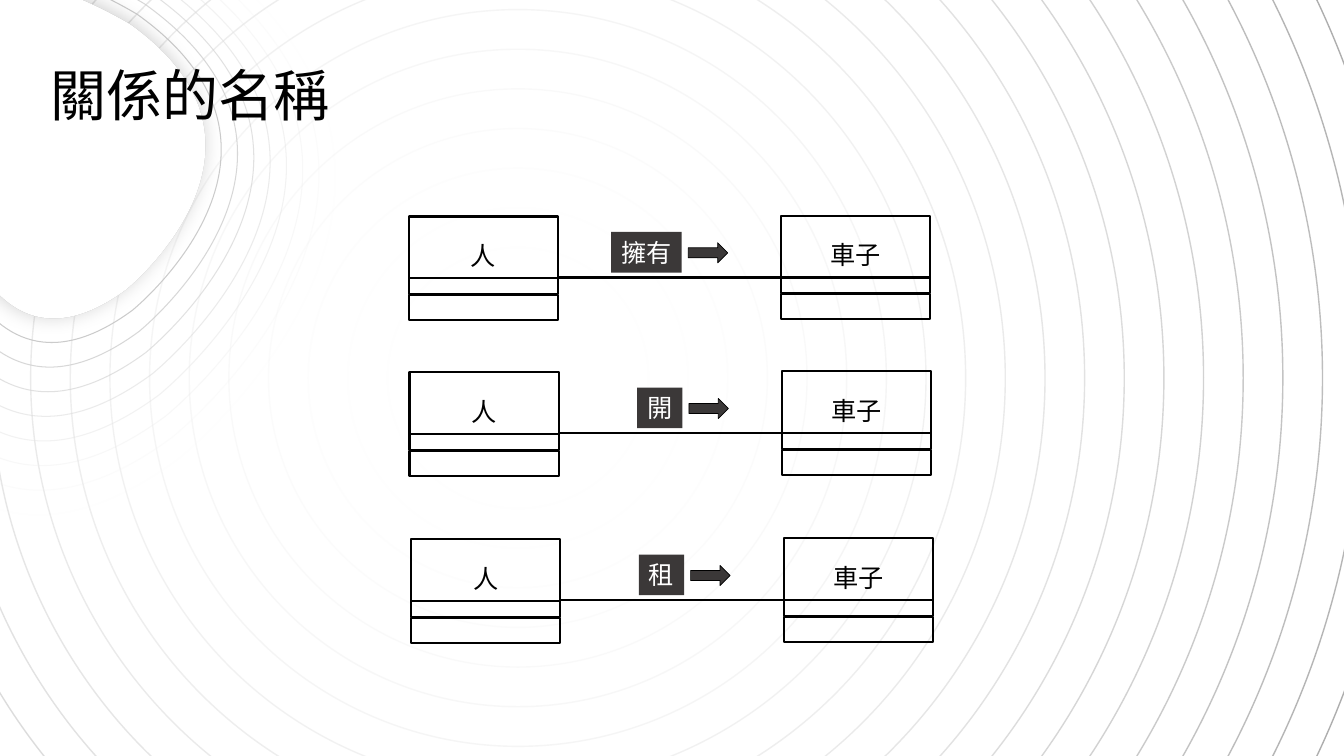
from lxml import etree
from pptx import Presentation
from pptx import util as u
from pptx.dml import color
from pptx.enum import shapes, text
from pptx.oxml import ns

Pt = u.Pt
FACE = "Noto Sans CJK SC"
INNER = [(72, 7), (-108, -39.5), (-74, 93), (-26.5, 247), (100, 166.3), (276.5, 36)]
OUTER = [(93.5, -63.4), (-259, -154), (-192, 104.4), (-100, 407.5), (148.3, 248.4), (494, -7)]


def tint(form, shade):
    form.solid()
    form.fore_color.rgb = color.RGBColor.from_string(shade)


def node(parent, tag, **attrs):
    return etree.SubElement(parent, ns.qn(tag), **attrs)


def style(shape, fill=None, line=None, width=1.5, alpha=100):
    shape.shadow.inherit = False
    if fill:
        tint(shape.fill, fill)
    else:
        shape.fill.background()
    if line:
        stroke(shape, line, width, alpha)
    else:
        shape.line.fill.background()


def stroke(shape, shade, width, alpha=100):
    tint(shape.line.fill, shade)
    shape.line.width = Pt(width)
    if alpha < 100:
        rgb = shape.line._ln.find(".//" + ns.qn("a:srgbClr"))
        node(rgb, "a:alpha", val=str(round(alpha * 1000)))


def glow(shape, shade, alpha, blur, dist, angle):
    group = shape._element.spPr.find(ns.qn("a:effectLst"))
    cast = node(group, "a:outerShdw", blurRad=str(Pt(blur)), dist=str(Pt(dist)),
                dir=str(angle * 60000))
    rgb = node(cast, "a:srgbClr", val=shade)
    node(rgb, "a:alpha", val=str(alpha * 1000))


def write(shape, words, size, shade, align):
    para = shape.text_frame.paragraphs[0]
    para.text = words
    para.alignment = align
    font = para.font
    font.size = Pt(size)
    font.name = FACE
    tint(font.fill, shade)
    node(font._element, "a:ea", typeface=FACE)


def place(slide, kind, left, top, wide, high, **look):
    shape = slide.shapes.add_shape(kind, Pt(left), Pt(top), Pt(wide), Pt(high))
    style(shape, **look)
    return shape


def rule(slide, left, top, wide):
    line = slide.shapes.add_connector(shapes.MSO_CONNECTOR.STRAIGHT,
                                      Pt(left), Pt(top), Pt(left + wide), Pt(top))
    stroke(line, "000000", 1.5)
    node(line._element.spPr, "a:effectLst")


def rings(slide, mid, high, outer, step, count):
    for i in range(count):
        rad = outer - step * i
        grey = f"{round(170.25 + 4.25 * i):02X}" * 3
        place(slide, shapes.MSO_SHAPE.OVAL, mid - rad, high - rad, 2 * rad, 2 * rad,
              line=grey, width=1, alpha=95.25 - 4.75 * i)


def curve(start, pull, end, steps=40):
    for i in range(steps + 1):
        t = i / steps
        a, b, c = (1 - t) ** 2 * (1 + 2 * t), 3 * t * t * (1 - t), t ** 3
        yield tuple(a * s + b * p + c * e for s, p, e in zip(start, pull, end))


def blob(slide, pts, **look):
    arcs = [(pts[i], pts[i + 1], pts[(i + 2) % 6]) for i in (0, 2, 4)]
    xs, ys = zip(*(spot for arc in arcs for spot in curve(*arc)))
    left, top, right, low = min(xs), min(ys), max(xs), max(ys)
    pen = slide.shapes.build_freeform(Pt(left), Pt(top))
    pen.add_line_segments([(Pt(right), Pt(top)), (Pt(right), Pt(low)), (Pt(left), Pt(low))])
    shape = pen.convert_to_shape()
    track = shape._element.spPr.find(".//" + ns.qn("a:path"))
    for part in list(track):
        track.remove(part)

    def step(tag, *spots):
        part = node(track, tag)
        for x, y in spots:
            node(part, "a:pt", x=str(Pt(x - left)), y=str(Pt(y - top)))

    step("a:moveTo", pts[0])
    for start, pull, end in arcs:
        step("a:cubicBezTo", start, pull, end)
    step("a:close")
    shape.rotation = 248.1
    style(shape, width=0.75, **look)
    return shape


def ripple(slide, count=9):
    for i in range(count):
        t = i / (count - 1)
        pts = [tuple(a + (b - a) * t for a, b in zip(*pair)) for pair in zip(OUTER, INNER)]
        grey = f"{round(248 - 57 * t):02X}" * 3
        ring = blob(slide, pts, line=grey, alpha=100 * (i + 1) / count)
        glow(ring, "323232", 10, 50, 0, 0)
    core = blob(slide, INNER, fill="FFFFFF", line="FFFFFF")
    glow(core, "000000", 20, 15, 3, 225)


def heading(slide, words, left, top, wide, high):
    box = slide.shapes.add_textbox(Pt(left), Pt(top), Pt(wide), Pt(high))
    write(box, words, 40, "000000", text.PP_ALIGN.LEFT)


def entity(slide, words, left, top):
    rect = shapes.MSO_SHAPE.RECTANGLE
    head = place(slide, rect, left, top, 106.6, 55.4, line="000000")
    head.text_frame.vertical_anchor = text.MSO_ANCHOR.MIDDLE
    write(head, words, 18, "000000", text.PP_ALIGN.CENTER)
    place(slide, rect, left, top + 56.2, 106.6, 18, line="000000")
    rule(slide, left + 0.3, top + 44.2, 106.6)


def relation(slide, verb, left, top):
    entity(slide, "人", left, top)
    entity(slide, "車子", left + 266, top - 0.7)
    rule(slide, left + 106.6, top + 43.5, 162)
    wide = 14.4 + 18 * len(verb)
    tag = place(slide, shapes.MSO_SHAPE.RECTANGLE, left + 195 - wide, top + 11,
                wide, 29, fill="3B3838")
    tag.text_frame.word_wrap = False
    tag.text_frame.vertical_anchor = text.MSO_ANCHOR.TOP
    write(tag, verb, 18, "FFFFFF", text.PP_ALIGN.LEFT)
    place(slide, shapes.MSO_SHAPE.RIGHT_ARROW, left + 199.6, top + 18.7, 28.2, 14.4,
          fill="3B3838", line="000000", width=0.5)


def main():
    deck = Presentation()
    deck.slide_width, deck.slide_height = Pt(960), Pt(540)
    slide = deck.slides.add_slide(deck.slide_layouts[6])
    rings(slide, 370, 270, 631.3, 28.32, 20)
    ripple(slide)
    heading(slide, "關係的名稱", 28.8, 39.6, 216.7, 55.4)
    for verb, left, top in (("擁有", 292, 154.7), ("開", 292.5, 265.9), ("租", 293.7, 385.2)):
        relation(slide, verb, left, top)
    deck.save("out.pptx")


if __name__ == "__main__":
    main()
